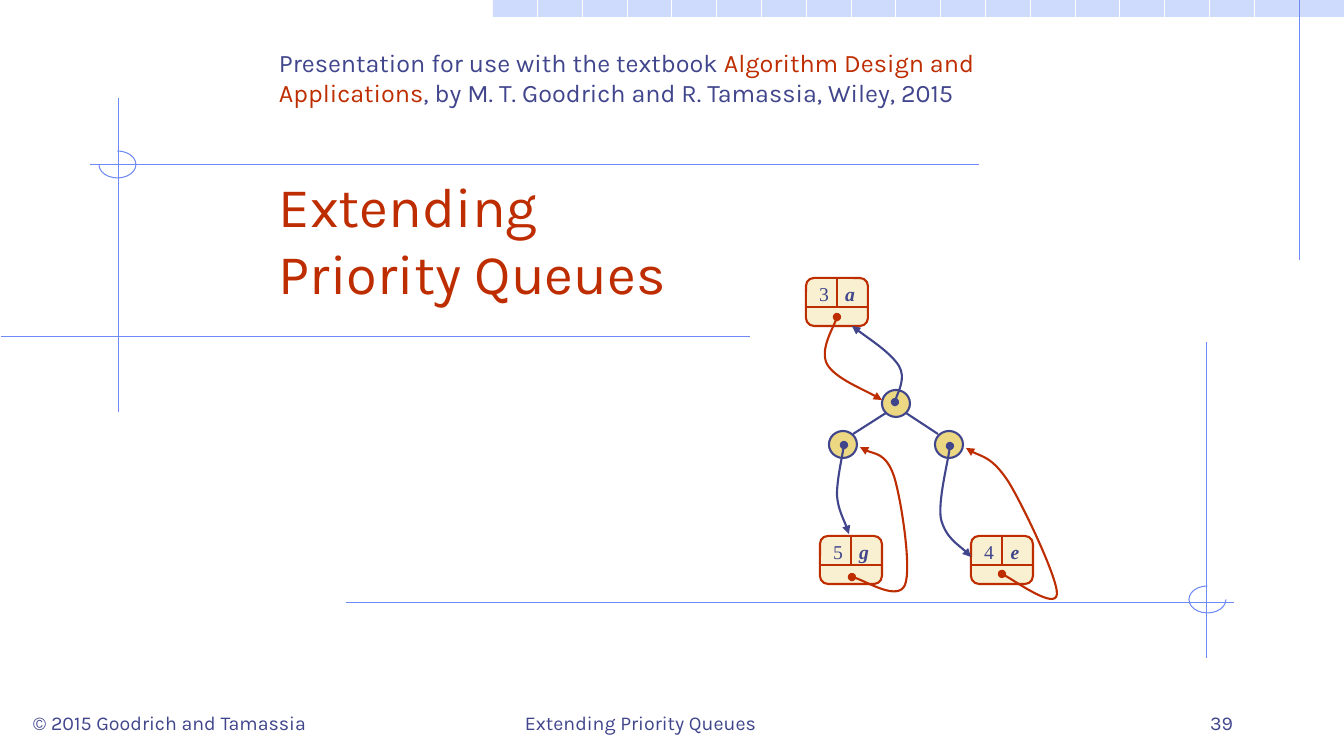
import lxml.etree
import pptx
import pptx.dml.color
import pptx.enum.shapes
import pptx.enum.text
import pptx.oxml.ns
import pptx.util

SCALE = 914400 / 100.8
COLORS = {
    "band": "CFDBFD",
    "frame": "6F89F7",
    "ink": "40458C",
    "accent": "BE2D00",
    "node": "ECD882",
    "entry": "F8F0D0",
    "white": "FFFFFF",
}
SHAPES = pptx.enum.shapes.MSO_SHAPE
ALIGN = pptx.enum.text.PP_ALIGN
ANCHOR = pptx.enum.text.MSO_ANCHOR

FRAME_LINES = [
    (1300, 0, 1300, 260),
    (119, 98, 119, 412),
    (750, 337, 1, 337),
    (979, 165, 90, 165),
    (346, 603, 1234, 603),
    (1207, 342, 1207, 658),
]
FRAME_ARCS = [(99, 151, 162, 108), (1189, 586, 0, 162)]
TREE_NODES = [(882, 390), (935, 431), (829, 431)]
TREE_EDGES = [(853, 434, 886, 413), (938, 434, 906, 413)]
ENTRIES = [(806, 278, "3", "a"), (820, 536, "5", "g"), (971, 536, "4", "e")]
POINTERS = [
    ("accent", [(837, 317), (835, 325), (820, 350), (827, 364),
                (835, 378), (870, 392), (882, 400)]),
    ("accent", [(852, 577), (861, 578), (898, 601), (905, 585), (912, 568),
                (901, 498), (894, 476), (886, 453), (867, 453), (860, 447)]),
    ("accent", [(1002, 574), (1011, 578), (1056, 610), (1057, 594), (1058, 579),
                (1023, 505), (1008, 481), (992, 457), (975, 455), (966, 448)]),
    ("ink", [(895, 402), (896, 396), (906, 378), (899, 366),
             (891, 353), (862, 334), (852, 326)]),
    ("ink", [(950, 446), (949, 458), (938, 501), (941, 519),
             (946, 538), (965, 549), (971, 557)]),
    ("ink", [(844, 445), (843, 453), (837, 480), (837, 495),
             (838, 509), (847, 526), (849, 534)]),
]


def px(*lengths):
    """Turn pixel lengths into EMU."""
    return [pptx.util.Emu(round(length * SCALE)) for length in lengths]


def color(name):
    """Look up a named colour."""
    return pptx.dml.color.RGBColor.from_string(COLORS[name])


def apply_format(target, values):
    """Set attributes from a dict of format values."""
    for name, value in values.items():
        setattr(target, name, value)


def style_line(line, name, points):
    """Give an outline its colour and width."""
    line.color.rgb = color(name)
    line.width = pptx.util.Pt(points)


def add_line(page, ends, name, points=0.75):
    """Draw a straight line without a shadow."""
    line = page.shapes.add_connector(
        pptx.enum.shapes.MSO_CONNECTOR.STRAIGHT, *px(*ends))
    style_line(line.line, name, points)
    lxml.etree.SubElement(line._element.spPr, pptx.oxml.ns.qn("a:effectLst"))
    return line


def add_shape(page, kind, place, fill=None, outline=None, points=1.5):
    """Draw a preset shape with optional fill and outline."""
    shape = page.shapes.add_shape(kind, *px(*place))
    shape.shadow.inherit = False
    if fill:
        shape.fill.solid()
        shape.fill.fore_color.rgb = color(fill)
    else:
        shape.fill.background()
    if outline:
        style_line(shape.line, outline, points)
    else:
        shape.line.fill.background()
    return shape


def add_text(page, place, spans, size, family="Karla", align=ALIGN.LEFT,
             anchor=ANCHOR.TOP, wrap=True, **emphasis):
    """Write one paragraph of (text, colour) spans."""
    box = page.shapes.add_textbox(*px(*place))
    apply_format(box.text_frame, {"word_wrap": wrap, "vertical_anchor": anchor})
    para = box.text_frame.paragraphs[0]
    para.alignment = align
    for text, name in spans:
        span = para.add_run()
        span.text = text
        apply_format(span.font,
                     {"name": family, "size": pptx.util.Pt(size), **emphasis})
        span.font.color.rgb = color(name)


def add_pointer(page, name, points):
    """Draw a Bezier curve from a dot to an arrowhead."""
    qn = pptx.oxml.ns.qn
    builder = page.shapes.build_freeform(*points[0], scale=SCALE)
    builder.add_line_segments(points[1:], close=False)
    pointer = builder.convert_to_shape()
    pointer.shadow.inherit = False
    pointer.fill.background()
    style_line(pointer.line, name, 1.5)
    outline = pointer._element.find(".//" + qn("a:path"))
    segments = outline.findall(qn("a:lnTo"))
    for start in range(0, len(segments), 3):
        curve = lxml.etree.SubElement(outline, qn("a:cubicBezTo"))
        for segment in segments[start:start + 3]:
            curve.append(segment[0])
            outline.remove(segment)
    ends = pointer._element.spPr.find(qn("a:ln"))
    for tag, kind in (("a:headEnd", "oval"), ("a:tailEnd", "triangle")):
        lxml.etree.SubElement(ends, qn(tag), type=kind)


def add_entry(page, left, top, key, value):
    """Draw a priority queue entry with its key and value."""
    entry = add_shape(page, SHAPES.ROUNDED_RECTANGLE, (left, top, 62, 48),
                      "entry", "accent")
    add_line(page, (left, top + 29, left + 62, top + 29), "accent", 1.5)
    divider = add_line(page, (left + 31, top, left + 31, top + 29), "accent", 1.5)
    divider.begin_connect(entry, 0)
    for text, shift, strong in ((key, 3, False), (value, 29, True)):
        add_text(page, (left + shift, top - 1, 30, 34), [(text, "ink")], 14,
                 "Times New Roman", ALIGN.CENTER, wrap=False,
                 bold=strong, italic=strong)


def add_frame(page):
    """Draw the ruled band and the decorative lines."""
    add_shape(page, SHAPES.RECTANGLE, (493, 0, 851, 17), "band")
    for column in range(12, 29):
        rule = column * 44.8
        add_line(page, (rule, 0, rule, 756), "white")
    for ends in FRAME_LINES:
        add_line(page, ends, "frame")
    for left, top, start, end in FRAME_ARCS:
        arc = add_shape(page, SHAPES.ARC, (left, top, 37, 27), None, "frame", 0.75)
        arc.adjustments[0] = start
        arc.adjustments[1] = end


def add_tree(page):
    """Draw the tree, its entries and the pointers between them."""
    for ends in TREE_EDGES:
        add_line(page, ends, "ink", 1.5)
    for left, top in TREE_NODES:
        add_shape(page, SHAPES.OVAL, (left, top, 28, 27), "node", "ink")
    for entry in ENTRIES:
        add_entry(page, *entry)
    for name, points in POINTERS:
        add_pointer(page, name, points)


def main():
    """Build the title slide."""
    deck = pptx.Presentation()
    deck.slide_width, deck.slide_height = px(1344, 756)
    page = deck.slides.add_slide(deck.slide_layouts[6])
    add_frame(page)
    add_text(page, (269, 185, 462, 126),
             [("Extending Priority Queues", "accent")], 40, anchor=ANCHOR.BOTTOM)
    add_tree(page)
    for left, width, text, align in (
            (23, 526, "© 2015 Goodrich and Tamassia", ALIGN.LEFT),
            (515, 426, "Extending Priority Queues", ALIGN.LEFT),
            (963, 280, "39", ALIGN.RIGHT)):
        add_text(page, (left, 689, width, 50), [(text, "ink")], 14,
                 align=align, anchor=ANCHOR.BOTTOM)
    add_text(page, (269, 42, 731, 109), [
        ("Presentation for use with the textbook ", "ink"),
        ("Algorithm Design and Applications", "accent"),
        (", by M. T. Goodrich and R. Tamassia, Wiley, 2015", "ink")], 18)
    deck.save("out.pptx")


if __name__ == "__main__":
    main()
